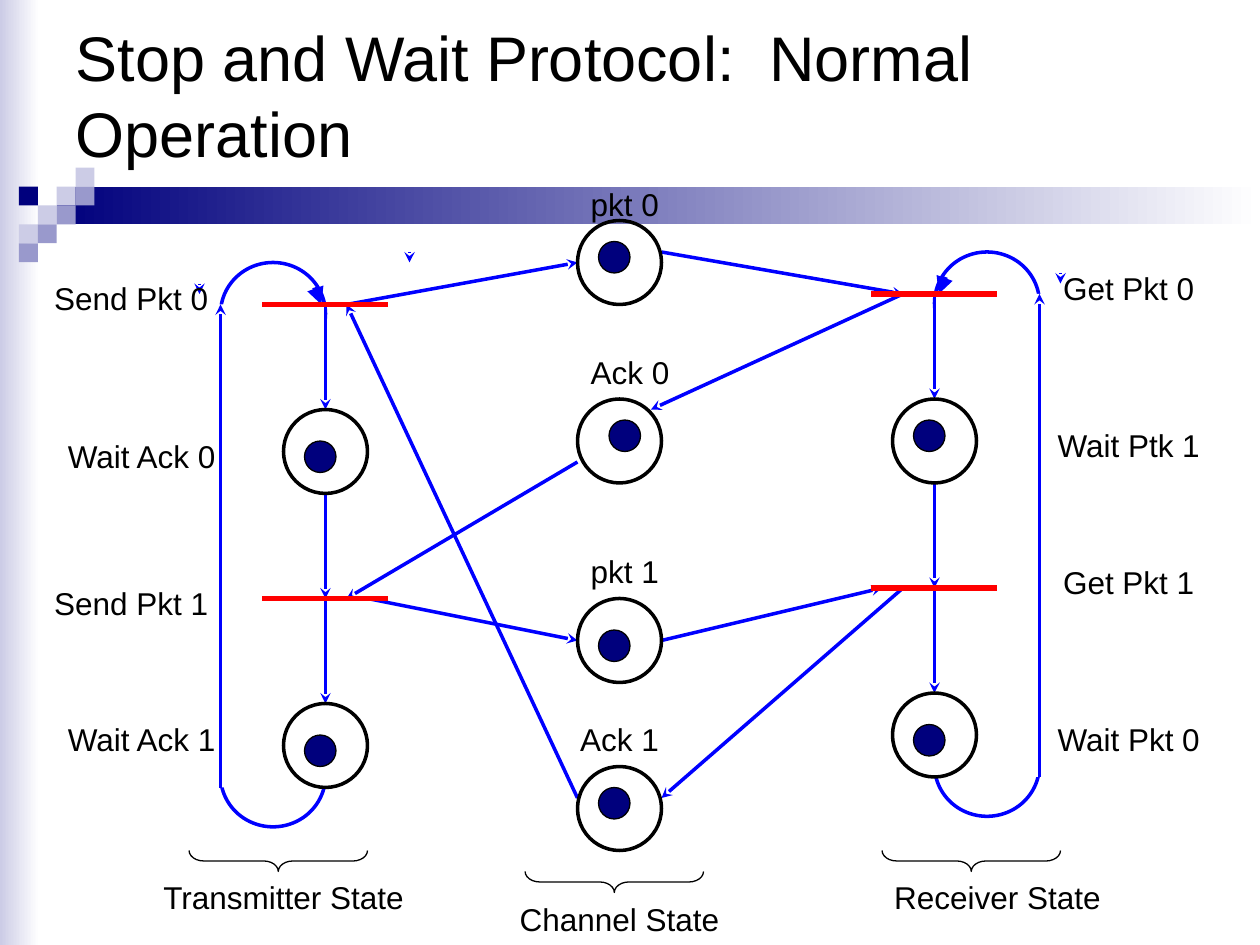
import lxml.etree
import pptx
import pptx.dml.color
import pptx.enum.shapes
import pptx.enum.text
import pptx.oxml.ns
import pptx.util

Pt = pptx.util.Pt
RGBColor = pptx.dml.color.RGBColor
SHAPE = pptx.enum.shapes.MSO_SHAPE
ALIGN = pptx.enum.text.PP_ALIGN
ANCHOR = pptx.enum.text.MSO_ANCHOR
qn = pptx.oxml.ns.qn

BLACK = RGBColor(0x00, 0x00, 0x00)
WHITE = RGBColor(0xFF, 0xFF, 0xFF)
BLUE = RGBColor(0x00, 0x00, 0xFF)
RED = RGBColor(0xFF, 0x00, 0x00)
NAVY = RGBColor(0x00, 0x00, 0x7D)
LAVENDER = RGBColor(0xCC, 0xCC, 0xE6)
PERIWINKLE = RGBColor(0x99, 0x99, 0xCC)

WIDTH, HEIGHT = 720, 540
CIRCLE, TOKEN, LABEL_HEIGHT = 48, 18, 28.8


def write_text(shape, text, size=18, align=ALIGN.CENTER, anchor=ANCHOR.TOP):
    frame = shape.text_frame
    frame.word_wrap = True
    frame.auto_size = pptx.enum.text.MSO_AUTO_SIZE.NONE
    frame.vertical_anchor = anchor
    paragraph = frame.paragraphs[0]
    paragraph.alignment = align
    run = paragraph.add_run()
    run.text = text
    run.font.name = "Arial"
    run.font.size = Pt(size)
    run.font.color.rgb = BLACK


def add_label(slide, text, left, top, width):
    box = slide.shapes.add_textbox(Pt(left), Pt(top), Pt(width), Pt(LABEL_HEIGHT))
    write_text(box, text)


def add_shape(slide, kind, left, top, width, height, fill=None, line=None, weight=2):
    shape = slide.shapes.add_shape(kind, Pt(left), Pt(top), Pt(width), Pt(height))
    shape.shadow.inherit = False
    if fill is None:
        shape.fill.background()
    else:
        shape.fill.solid()
        shape.fill.fore_color.rgb = fill
    if line is None:
        shape.line.fill.background()
    else:
        shape.line.color.rgb = line
        shape.line.width = Pt(weight)
    return shape


def add_line(slide, x1, y1, x2, y2, color=BLUE, weight=2, head="stealth"):
    connector = slide.shapes.add_connector(
        pptx.enum.shapes.MSO_CONNECTOR.STRAIGHT, Pt(x1), Pt(y1), Pt(x2), Pt(y2))
    connector.line.color.rgb = color
    connector.line.width = Pt(weight)
    properties = connector._element.spPr
    if head:
        lxml.etree.SubElement(properties.find(qn("a:ln")), qn("a:tailEnd"), type=head)
    lxml.etree.SubElement(properties, qn("a:effectLst"))


def add_circle(slide, left, top):
    add_shape(slide, SHAPE.OVAL, left, top, CIRCLE, CIRCLE, line=BLACK)


def add_token(slide, left, top):
    add_shape(slide, SHAPE.OVAL, left, top, TOKEN, TOKEN, NAVY, BLACK, 0.75)


def add_caption(slide, text, brace_center, brace_top, text_center, text_top):
    # The brace is a tall one turned a quarter, so its tip points down
    length, depth = 102, 12
    brace = add_shape(slide, SHAPE.RIGHT_BRACE, brace_center - depth / 2,
                      brace_top + depth / 2 - length / 2, depth, length,
                      line=BLACK, weight=0.75)
    brace.rotation = 90
    brace.adjustments[0] = 0.7
    add_label(slide, text, text_center - 120, text_top, 240)


def add_background(slide):
    # Side and title bands fade to white on the right
    for left, top, width, height, color in ((0, 0, 22.5, HEIGHT, LAVENDER),
                                            (32.4, 106.6, 687.6, 21.6, NAVY)):
        band = add_shape(slide, SHAPE.RECTANGLE, left, top, width, height)
        band.fill.gradient()
        band.fill.gradient_angle = 180
        for stop, stop_color in zip(band.fill.gradient_stops, (WHITE, color)):
            stop.color.rgb = stop_color
    # Mosaic of squares on a grid
    step, left, top = 10.8, 10.8, 95.8
    squares = {
        LAVENDER: ((2, 1), (3, 0), (1, 2), (0, 3)),
        PERIWINKLE: ((3, 1), (2, 2), (1, 3), (0, 4)),
        NAVY: ((0, 1),),
    }
    for color, cells in squares.items():
        for column, row in cells:
            add_shape(slide, SHAPE.RECTANGLE, left + column * step, top + row * step,
                      step, step, color)


def add_title(slide, text):
    title = slide.shapes.title
    title.left, title.top, title.width, title.height = Pt(36), Pt(0), Pt(648), Pt(108)
    write_text(title, text, size=36, align=ALIGN.LEFT, anchor=ANCHOR.MIDDLE)


def add_machine(slide, center, top, outward, token_tops, labels):
    """Two transitions and two places in a loop; outward is -1 for left, 1 for right."""
    def x_at(distance):
        return center + outward * distance

    def left_of(start, width):
        return min(x_at(start), x_at(start + width))

    # Rounded ends of the loop, each half hidden
    for oval_top, mask_start, mask_top, mask_height in ((-24, 0, 0, 36),
                                                        (240, -6, 234, 42)):
        add_shape(slide, SHAPE.OVAL, left_of(0, 60), top + oval_top, 60, 58.5, line=BLUE)
        add_shape(slide, SHAPE.RECTANGLE, left_of(mask_start, 72), top + mask_top,
                  72, mask_height, WHITE)
    add_line(slide, x_at(6), top - 9.8, x_at(2.4), top, weight=3.25, head="triangle")
    add_line(slide, x_at(60), top + 276, x_at(60), top)
    add_line(slide, x_at(72), top - 12, x_at(72), top - 6)
    # Flow down the column
    for start in (0, 108, 168):
        add_line(slide, center, top + start, center, top + start + 60)
    for place_top, token_top in zip((60, 228), token_tops):
        add_circle(slide, center - CIRCLE / 2, top + place_top)
        add_token(slide, center - 12, top + token_top)
    for bar_top in (0, 168):
        add_line(slide, center - 36, top + bar_top, center + 36, top + bar_top,
                 color=RED, weight=3, head=None)
    for text, left, label_top in labels:
        add_label(slide, text, center + left, top + label_top, 114)


def add_channel(slide, left, top):
    places = (  # label, its left, top and width, place top, token left and top
        ("pkt 0", -6, -24, 66, 0, 12, 12),
        ("Ack 0", 0, 72, 60, 102, 18, 114),
        ("pkt 1", -6, 186, 66, 216, 12, 234),
        ("Ack 1", -18, 282, 84, 312, 12, 324),
    )
    for text, label_left, label_top, width, place_top, token_left, token_top in places:
        add_label(slide, text, left + label_left, top + label_top, width)
        add_circle(slide, left, top + place_top)
        add_token(slide, left + token_left, top + token_top)


def add_messages(slide):
    for ends in (
        (198, 174, 330, 150), (378, 144, 516, 168),  # packet 0
        (516, 168, 372, 234), (330, 264, 198, 342),  # acknowledgement 0
        (210, 342, 330, 366), (378, 366, 504, 336),  # packet 1
        (516, 336, 378, 456), (330, 456, 198, 174),  # acknowledgement 1
        (234, 144, 234, 150),
    ):
        add_line(slide, *ends)


presentation = pptx.Presentation()
presentation.slide_width, presentation.slide_height = Pt(WIDTH), Pt(HEIGHT)
slide = presentation.slides.add_slide(presentation.slide_layouts[5])

add_background(slide)
add_title(slide, "Stop and Wait Protocol:  Normal Operation")
add_messages(slide)
add_machine(slide, 186, 174, -1, (78, 246), (
    ("Send Pkt 0", -168, -18), ("Wait Ack 0", -162, 72),
    ("Send Pkt 1", -168, 156), ("Wait Ack 1", -162, 234)))
add_machine(slide, WIDTH - 186, 168, 1, (72, 246), (
    ("Get Pkt 0", 54, -18), ("Wait Ptk 1", 54, 72),
    ("Get Pkt 1", 54, 150), ("Wait Pkt 0", 54, 240)))
add_channel(slide, 330, 126)
add_caption(slide, "Transmitter State", 159, 486, 162, 498)
add_caption(slide, "Receiver State", 555, 486, 570, 498)
add_caption(slide, "Channel State", 351, 498, 354, 511)

presentation.save("out.pptx")
